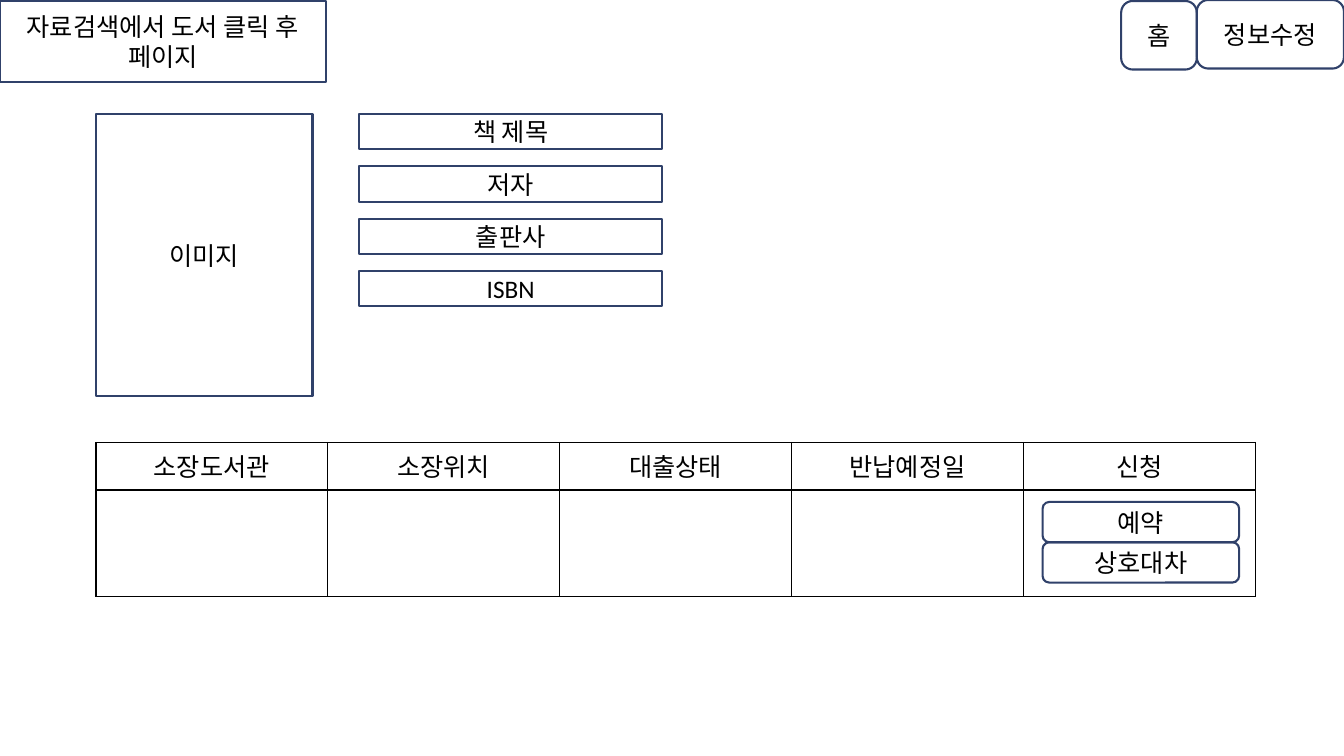
"""Build the wireframe of a library book detail page."""
from dataclasses import dataclass

import lxml.etree
import pptx
import pptx.dml.color
import pptx.enum.shapes
import pptx.enum.text
import pptx.oxml.ns
import pptx.shapes.shapetree
import pptx.table
import pptx.text.text
import pptx.util

Inches = pptx.util.Inches
RECTANGLE = pptx.enum.shapes.MSO_SHAPE.RECTANGLE
ROUNDED = pptx.enum.shapes.MSO_SHAPE.ROUNDED_RECTANGLE

OUTLINE = "30416A"
BLACK = "000000"
WHITE = "FFFFFF"
BORDER_WIDTH = 1.2


@dataclass(frozen=True)
class Box:
    label: str
    left: float
    top: float
    width: float
    height: float
    outline: pptx.enum.shapes.MSO_SHAPE = RECTANGLE


BOOK_FIELDS = ["책 제목", "저자", "출판사", "ISBN"]
REQUESTS = ["예약", "상호대차"]
HOLDING_HEADINGS = ["소장도서관", "소장위치", "대출상태", "반납예정일", "신청"]

BOOK_DETAILS = [Box("이미지", 0.95, 1.13, 2.15, 2.8)] + [
    Box(field, 3.56, 1.13 + 0.52 * row, 3.01, 0.35)
    for row, field in enumerate(BOOK_FIELDS)
]
NAVIGATION = [
    Box("정보수정", 11.87, 0, 1.46, 0.68, ROUNDED),
    Box("자료검색에서 도서 클릭 후 페이지", 0, 0.01, 3.23, 0.8),
    Box("홈", 11.12, 0.01, 0.75, 0.68, ROUNDED),
]
REQUEST_BUTTONS = [
    Box(request, 10.34, 4.98 + 0.4 * row, 1.95, 0.4, ROUNDED)
    for row, request in enumerate(REQUESTS)
]


def color(value: str) -> pptx.dml.color.RGBColor:
    """Turn a hex string into a colour."""
    return pptx.dml.color.RGBColor.from_string(value)


def write_label(frame: pptx.text.text.TextFrame, label: str) -> None:
    """Write one centred line in the slide's text style."""
    paragraph = frame.paragraphs[0]
    paragraph.text = label
    paragraph.alignment = pptx.enum.text.PP_ALIGN.CENTER
    paragraph.font.name = "Calibri"
    paragraph.font.size = pptx.util.Pt(18)
    paragraph.font.color.rgb = color(BLACK)


def draw_box(shapes: pptx.shapes.shapetree.SlideShapes, box: Box) -> None:
    """Draw an outlined box with its label."""
    shape = shapes.add_shape(
        box.outline,
        Inches(box.left),
        Inches(box.top),
        Inches(box.width),
        Inches(box.height),
    )
    shape.shadow.inherit = False
    shape.fill.background()
    shape.line.color.rgb = color(OUTLINE)
    shape.line.width = pptx.util.Pt(1.5)
    shape.text_frame.word_wrap = True
    shape.text_frame.vertical_anchor = pptx.enum.text.MSO_ANCHOR.MIDDLE
    write_label(shape.text_frame, box.label)


def style_cell(cell: pptx.table._Cell) -> None:
    """Give a cell a white fill and black borders on all sides."""
    cell.fill.solid()
    cell.fill.fore_color.rgb = color(WHITE)
    properties = cell._tc.get_or_add_tcPr()
    qn = pptx.oxml.ns.qn
    for position, side in enumerate(["a:lnL", "a:lnR", "a:lnT", "a:lnB"]):
        border = lxml.etree.Element(qn(side), w=str(pptx.util.Pt(BORDER_WIDTH)))
        fill = lxml.etree.SubElement(border, qn("a:solidFill"))
        lxml.etree.SubElement(fill, qn("a:srgbClr"), val=BLACK)
        properties.insert(position, border)


def draw_holdings(shapes: pptx.shapes.shapetree.SlideShapes) -> None:
    """Draw the table of holdings with one empty row."""
    column_width, row_heights = 2.3, [0.47, 1.06]
    holdings = shapes.add_table(
        len(row_heights),
        len(HOLDING_HEADINGS),
        Inches(0.95),
        Inches(4.39),
        Inches(column_width * len(HOLDING_HEADINGS)),
        Inches(sum(row_heights)),
    ).table
    for column in holdings.columns:
        column.width = Inches(column_width)
    for row, height in zip(holdings.rows, row_heights):
        row.height = Inches(height)
    for cell in holdings.iter_cells():
        style_cell(cell)
    for index, heading in enumerate(HOLDING_HEADINGS):
        write_label(holdings.cell(0, index).text_frame, heading)


def main() -> None:
    """Build the slide and save it."""
    presentation = pptx.Presentation()
    presentation.slide_width = Inches(13.33)
    presentation.slide_height = Inches(7.5)
    shapes = presentation.slides.add_slide(presentation.slide_layouts[6]).shapes
    for box in BOOK_DETAILS:
        draw_box(shapes, box)
    draw_holdings(shapes)
    for box in NAVIGATION + REQUEST_BUTTONS:
        draw_box(shapes, box)
    presentation.save("out.pptx")


if __name__ == "__main__":
    main()
